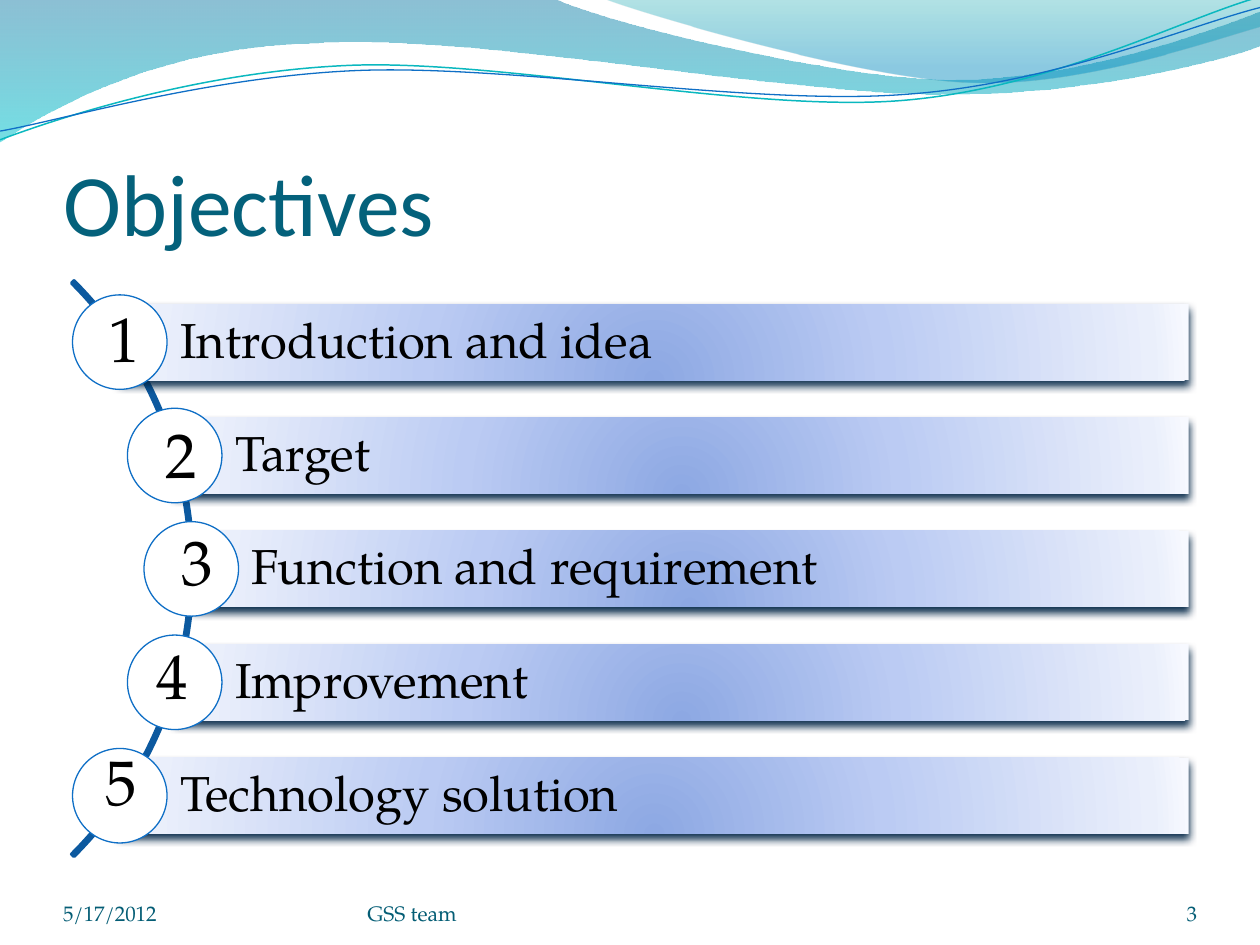
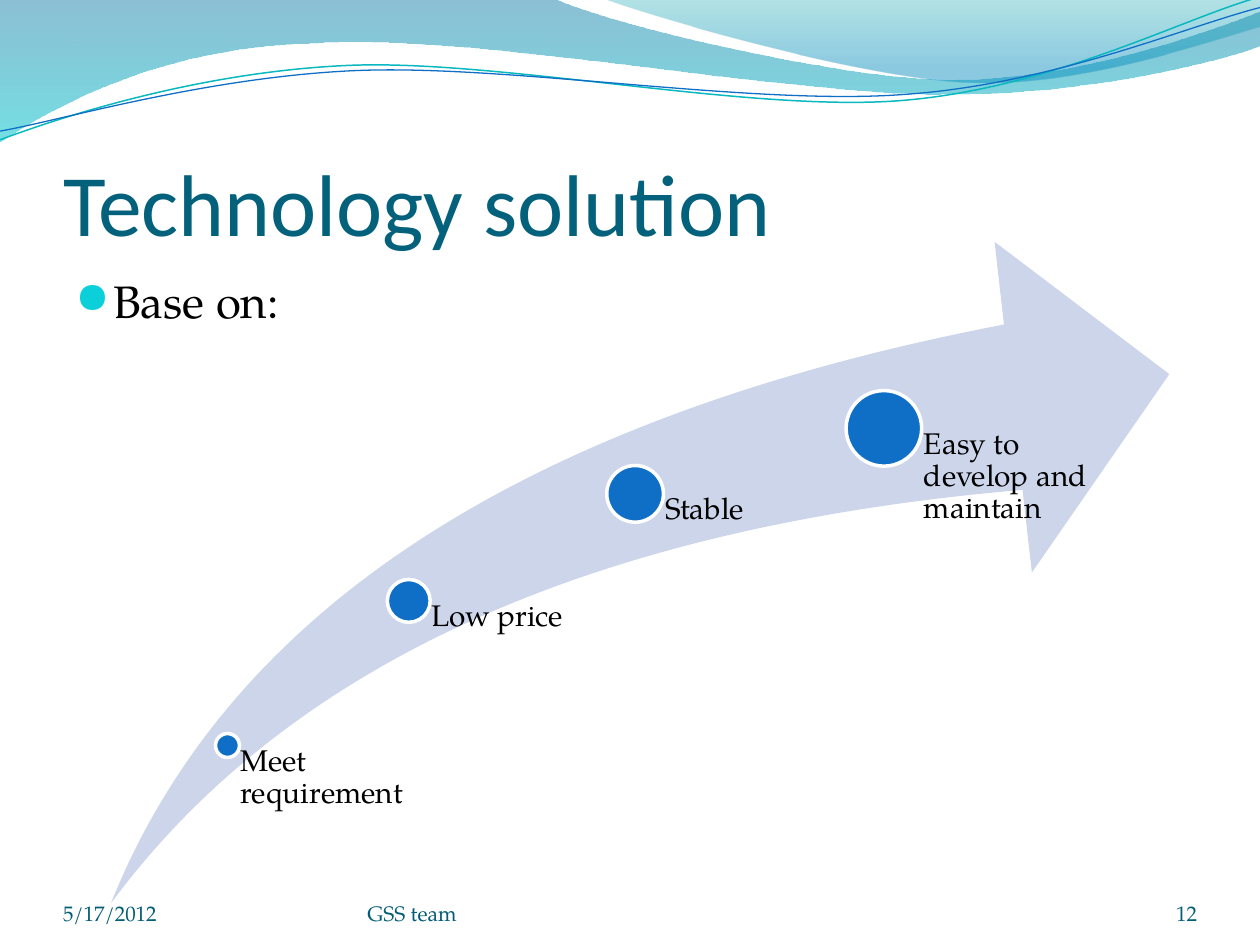
from dataclasses import dataclass
from math import sqrt

from pptx import Presentation
from pptx.dml.color import RGBColor
from pptx.enum.shapes import MSO_SHAPE as Preset
from pptx.enum.text import MSO_ANCHOR as Anchor, PP_ALIGN as Align
from pptx.oxml import parse_xml
from pptx.oxml.ns import nsdecls, qn
from pptx.util import Pt


@dataclass(frozen=True)
class Theme:
    """Colours, fonts and type sizes that the slides share."""
    title: str = "04617B"
    footer: str = "045D75"
    ink: str = "000000"
    white: str = "FFFFFF"
    blue: str = "0F6FC6"
    teal: str = "0AB8BF"
    bullet: str = "0BD0D9"
    arc: str = "0C599F"
    swoosh: str = "CCD5EA"
    shadow: str = "042747"
    # Gradient stops: position, colour and opacity, both in percent
    wide_wave: tuple = ((0, "0074A1", 45), (100, "00C6CF", 55))
    corner_wave: tuple = ((0, "00A1A9", 30), (80, "008BBF", 45))
    bar: tuple = ((0, "8DA8E3", 100), (43, "BBCBF3", 100),
                  (93, "EAEFFB", 100), (100, "F7F9FF", 100))
    heading_font: str = "Calibri"
    body_font: str = "TeX Gyre Pagella"
    bullet_font: str = "OpenSymbol"
    title_size: float = 50
    number_size: float = 36
    bar_size: float = 28
    body_size: float = 26
    label_size: float = 17
    footer_size: float = 12


THEME = Theme()
DOWNWARD = '<a:lin ang="5400000" scaled="1"/>'
FROM_BELOW = ('<a:path path="circle"><a:fillToRect l="50000" t="130000" '
              'r="50000" b="-30000"/></a:path>')

# A pair is a straight step to a point; six numbers are a Bezier curve.
WIDE_WAVE = [(0, 0), (316.8, -0.7),
             (342.7, 12.2, 478.1, 45.4, 545.8, 45.4),
             (614.2, 45.4, 689.8, 18.7, 720, 6.5), (720.7, 25.9),
             (707.8, 31.7, 626.4, 54.7, 537.1, 54),
             (446.4, 54, 275, 20.2, 185, 24.5),
             (92.9, 25.9, 33.1, 59.8, -0.7, 81.4), (0, 0)]
CORNER_WAVE = [(344.9, -0.7), (366.5, 7.9, 491, 44.6, 553.7, 46.8),
               (616.3, 49.7, 691.9, 23, 720, 15.1), (720, 0), (344.9, -0.7)]
TEAL_LINE = [(0, 79.9), (34.6, 67, 113.8, 41, 199.4, 37.4),
             (284.4, 33.8, 427, 64.1, 513.4, 57.6),
             (599.8, 51.1, 675.4, 10.8, 718.6, -1.4)]
BLUE_LINE = [(0, 74.9), (33.8, 69.1, 118.1, 43.9, 203.8, 40.3),
             (290.2, 36.7, 429.8, 60.5, 516.2, 54),
             (601.9, 48.2, 677.5, 15.1, 720, 4.3)]

# Objective and the top left corner of its number
OBJECTIVES = [("Introduction and idea", 54.7, 167.8),
              ("Target", 87.4, 233.8),
              ("Function and requirement", 96.5, 295.2),
              ("Improvement", 82.1, 360),
              ("Technology solution", 53.3, 421)]
# Label, centre of its dot, diameter of the dot, width of the label
MILESTONES = [("Meet requirement", 130, 426, 13.7, 103.7),
              ("Low price", 233.6, 343.4, 24.5, 126.7),
              ("Stable", 362.9, 282.2, 32.4, 126.7),
              ("Easy to develop and maintain", 505.1, 244.8, 43.2, 126.7)]


def paint(shape, fill=None, line=None, width=0.75):
    """Give a shape a flat fill and line, or none, and no shadow."""
    shape.shadow.inherit = False
    if fill:
        shape.fill.solid()
        shape.fill.fore_color.rgb = RGBColor.from_string(fill)
    else:
        shape.fill.background()
    if line:
        shape.line.color.rgb = RGBColor.from_string(line)
        shape.line.width = Pt(width)
    else:
        shape.line.fill.background()


def paint_gradient(shape, stops, direction):
    """Give a shape a gradient fill without a line."""
    paint(shape)
    marks = "".join(
        f'<a:gs pos="{place * 1000}"><a:srgbClr val="{colour}">'
        f'<a:alpha val="{opacity * 1000}"/></a:srgbClr></a:gs>'
        for place, colour, opacity in stops)
    gradient = parse_xml(f'<a:gradFill {nsdecls("a")} rotWithShape="1">'
                         f'<a:gsLst>{marks}</a:gsLst>{direction}</a:gradFill>')
    properties = shape._element.spPr
    properties.replace(properties.find(qn("a:noFill")), gradient)


def drop_shadow(shape):
    """Add a soft shadow straight below a painted shape."""
    effects = shape._element.spPr.find(qn("a:effectLst"))
    effects.append(parse_xml(
        f'<a:outerShdw {nsdecls("a")} blurRad="{Pt(4.5)}" dist="{Pt(3)}" '
        f'dir="5400000" rotWithShape="0"><a:srgbClr val="{THEME.shadow}">'
        '<a:alpha val="92000"/></a:srgbClr></a:outerShdw>'))


def add_preset(page, preset, left, top, width, height):
    """Add a preset shape, placed in points."""
    return page.shapes.add_shape(preset, Pt(left), Pt(top), Pt(width), Pt(height))


def add_circle(page, x, y, diameter, fill, line, width):
    """Add a circle around a centre."""
    circle = add_preset(page, Preset.OVAL, x - diameter / 2, y - diameter / 2,
                        diameter, diameter)
    paint(circle, fill, line, width)


def write(box, text, size, colour=THEME.ink, font=THEME.body_font,
          anchor=Anchor.TOP, insets=(0, 0, 0, 0), align=Align.LEFT, spacing=None):
    """Write one paragraph into a shape or text box and return it."""
    frame = box.text_frame
    frame.word_wrap = True
    frame.vertical_anchor = anchor
    (frame.margin_left, frame.margin_top,
     frame.margin_right, frame.margin_bottom) = map(Pt, insets)
    para = frame.paragraphs[0]
    para.text = text
    para.alignment = align
    para.line_spacing = spacing
    para.font.size = Pt(size)
    para.font.name = font
    para.font.color.rgb = RGBColor.from_string(colour)
    return para


def add_text(page, left, top, width, height, text, size, **style):
    """Add a text box, placed in points, and return its paragraph."""
    box = page.shapes.add_textbox(Pt(left), Pt(top), Pt(width), Pt(height))
    return write(box, text, size, **style)


def add_bullet(para):
    """Turn a paragraph into a bulleted one with a hanging indent."""
    para.space_before = Pt(5.2)
    properties = para._p.get_or_add_pPr()
    properties.set("marL", str(Pt(21.6)))
    properties.set("indent", str(Pt(-21.6)))
    for part in (f'<a:buClr {nsdecls("a")}><a:srgbClr val="{THEME.bullet}"/></a:buClr>',
                 f'<a:buSzPct {nsdecls("a")} val="95000"/>',
                 f'<a:buFont {nsdecls("a")} typeface="{THEME.bullet_font}"/>',
                 f'<a:buChar {nsdecls("a")} char="●"/>'):
        properties.append(parse_xml(part))


def add_wave(page, steps):
    """Add a freeform through the end points, then bend its curved steps."""
    first, *rest = [(Pt(step[-2]), Pt(step[-1])) for step in steps]
    builder = page.shapes.build_freeform(*first)
    builder.add_line_segments(rest, close=first == rest[-1])
    wave = builder.convert_to_shape()
    segments = list(wave._element.iter(qn("a:lnTo")))
    for segment, step in zip(segments, steps[1:]):
        if len(step) == 6:
            points = "".join(
                f'<a:pt x="{Pt(x) - wave.left}" y="{Pt(y) - wave.top}"/>'
                for x, y in zip(step[::2], step[1::2]))
            curve = parse_xml(f'<a:cubicBezTo {nsdecls("a")}>{points}</a:cubicBezTo>')
            segment.getparent().replace(segment, curve)
    return wave


def add_page(deck, title, number):
    """Add a slide with the waves and the title, and its footer."""
    page = deck.slides.add_slide(deck.slide_layouts[6])
    for steps, stops in ((WIDE_WAVE, THEME.wide_wave),
                         (CORNER_WAVE, THEME.corner_wave)):
        paint_gradient(add_wave(page, steps), stops, DOWNWARD)
    for steps, colour, width in ((TEAL_LINE, THEME.teal, 0.85),
                                 (BLUE_LINE, THEME.blue, 0.75)):
        paint(add_wave(page, steps), line=colour, width=width)
    add_text(page, 36.2, 55.4, 648, 90, title, THEME.title_size, colour=THEME.title,
             font=THEME.heading_font, anchor=Anchor.BOTTOM, insets=(0, 3.6, 0, 0))
    for left, width, text, align in ((36, 168, "5/17/2012", Align.LEFT),
                                     (210, 264, "GSS team", Align.LEFT),
                                     (624, 60, str(number), Align.RIGHT)):
        add_text(page, left, 500.4, width, 28.8, text, THEME.footer_size,
                 colour=THEME.footer, anchor=Anchor.BOTTOM, align=align)
    return page


def add_objectives(page):
    """Add the numbered bars, whose circles sit on one large arc."""
    arc = add_preset(page, Preset.BLOCK_ARC, -354.7, 92.4, 465.1, 465.1)
    for index, value in enumerate((189, 27, 0.004)):
        arc.adjustments[index] = value
    paint(arc, line=THEME.arc, width=2)

    centre_x, centre_y, radius = -116.7, 325.1, 226
    pitch, height, right = 64.8, 43.5, 679.3
    for row, (text, number_left, number_top) in enumerate(OBJECTIVES):
        offset = (row - len(OBJECTIVES) // 2) * pitch
        x, y = centre_x + sqrt(radius ** 2 - offset ** 2), centre_y + offset
        bar = add_preset(page, Preset.RECTANGLE, x, y - height / 2, right - x, height)
        paint_gradient(bar, THEME.bar, FROM_BELOW)
        drop_shadow(bar)
        write(bar, text, THEME.bar_size, anchor=Anchor.MIDDLE,
              insets=(34.5, 5.8, 5.8, 5.8), spacing=0.9)
        add_circle(page, x, y, 54, THEME.white, THEME.blue, 0.75)
        add_text(page, number_left, number_top, 34, 51, str(row + 1),
                 THEME.number_size, insets=(7.2, 3.6, 7.2, 3.6))


def add_milestones(page):
    """Add the rising arrow with its growing dots and their labels."""
    left, top, width, height = 63.4, 138.2, 604.8, 378
    arrow = add_preset(page, Preset.SWOOSH_ARROW, left, top, width, height)
    arrow.adjustments[0] = arrow.adjustments[1] = 0.25
    paint(arrow, THEME.swoosh)
    for text, x, y, diameter, label_width in MILESTONES:
        add_circle(page, x, y, diameter, THEME.blue, THEME.white, 2)
        add_text(page, x, y, label_width, top + height - y, text, THEME.label_size,
                 insets=(0.53 * diameter, 0, 0, 0), spacing=0.9)


def main():
    """Build the deck and save it."""
    deck = Presentation()
    deck.slide_width, deck.slide_height = Pt(720), Pt(540)

    add_objectives(add_page(deck, "Objectives", 3))

    page = add_page(deck, "Technology solution", 12)
    add_bullet(add_text(page, 36, 152.6, 648, 345.6, "Base on:", THEME.body_size,
                        insets=(7.2, 3.6, 7.2, 3.6)))
    add_milestones(page)

    deck.save("out.pptx")


main()
